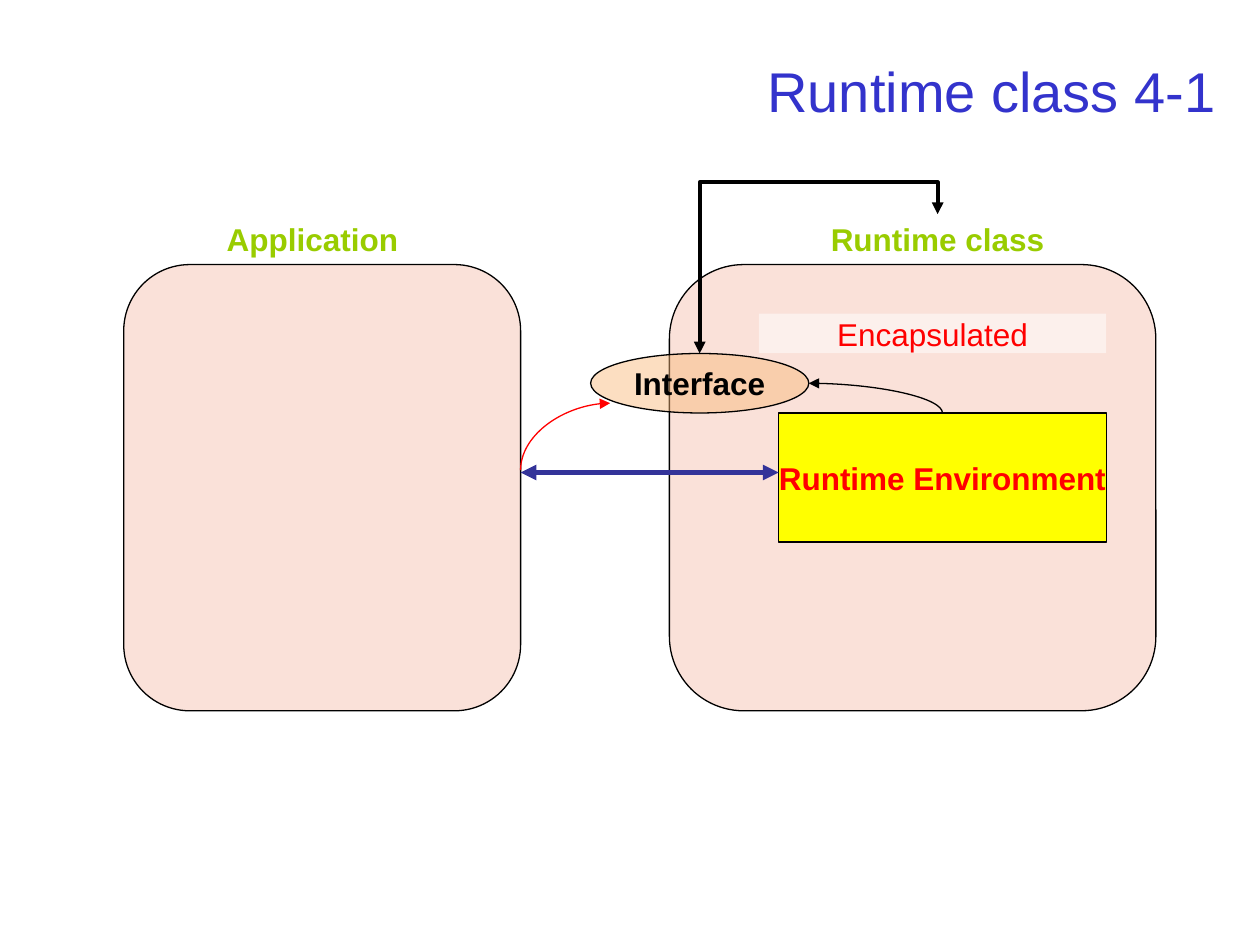
from dataclasses import dataclass

from lxml.etree import SubElement
from pptx import Presentation
from pptx.dml.color import RGBColor
from pptx.enum.shapes import MSO_CONNECTOR as Connector, MSO_SHAPE as Shape
from pptx.enum.text import MSO_ANCHOR as Anchor, MSO_AUTO_SIZE as AutoSize, PP_ALIGN as Align
from pptx.oxml.ns import qn
from pptx.util import Pt


@dataclass(frozen=True)
class Theme:
    font: str = "Arial"
    title_size: float = 32
    text_size: float = 18
    thin: float = 0.75
    medium: float = 2.25
    thick: float = 3
    title: str = "3333CC"
    label: str = "99CC00"
    black: str = "000000"
    white: str = "FFFFFF"
    red: str = "FF0000"
    yellow: str = "FFFF00"
    blue: str = "333399"
    panel: str = "F3B6A1"
    interface: str = "F9B979"


THEME = Theme()


def rgb(value):
    return RGBColor.from_string(value)


def write(frame, text, color, bold=False, size=THEME.text_size, align=Align.CENTER):
    paragraph = frame.paragraphs[0]
    paragraph.alignment = align
    run = paragraph.add_run()
    run.text = text
    run.font.name = THEME.font
    run.font.size = Pt(size)
    run.font.bold = bold
    run.font.color.rgb = rgb(color)


def add_text(slide, box, text, color, **style):
    frame = slide.shapes.add_textbox(*map(Pt, box)).text_frame
    frame.word_wrap = True
    write(frame, text, color, **style)
    return frame


def add_title(slide, text):
    frame = add_text(slide, (54, 20.2, 648, 62.6), text, THEME.title,
                     size=THEME.title_size, align=Align.RIGHT)
    frame.vertical_anchor = Anchor.MIDDLE


def add_label(slide, left, text):
    frame = add_text(slide, (left, 122.4, 204.5, 28.8), text, THEME.label, bold=True)
    frame.auto_size = AutoSize.SHAPE_TO_FIT_TEXT


def add_node(slide, kind, box, fill, opacity=100, outlined=True):
    """Add a filled shape; opacity is in percent."""
    shape = slide.shapes.add_shape(kind, *map(Pt, box))
    shape.shadow.inherit = False
    shape.fill.solid()
    shape.fill.fore_color.rgb = rgb(fill)
    if opacity < 100:
        color = shape._element.spPr.find(qn("a:solidFill")).find(qn("a:srgbClr"))
        SubElement(color, qn("a:alpha")).set("val", str(opacity * 1000))
    if outlined:
        shape.line.color.rgb = rgb(THEME.black)
        shape.line.width = Pt(THEME.thin)
    else:
        shape.line.fill.background()
    return shape


def add_text_node(slide, kind, box, fill, text, color, bold=True, **look):
    frame = add_node(slide, kind, box, fill, **look).text_frame
    frame.word_wrap = False
    frame.vertical_anchor = Anchor.MIDDLE
    write(frame, text, color, bold)


def add_arrow(slide, kind, start, end, color, width, both_ends=False):
    connector = slide.shapes.add_connector(kind, *map(Pt, (*start, *end)))
    connector.line.color.rgb = rgb(color)
    connector.line.width = Pt(width)
    properties = connector._element.spPr
    line = properties.find(qn("a:ln"))
    for tag in ("a:headEnd", "a:tailEnd") if both_ends else ("a:tailEnd",):
        SubElement(line, qn(tag)).set("type", "triangle")
    SubElement(properties, qn("a:effectLst"))
    return connector


def add_vertical_arrow(slide, kind, preset, start, end, color, width,
                       both_ends=False, bend=None):
    """Add a connector that leaves its start vertically: its frame is turned by 90 degrees."""
    middle_x, middle_y = (start[0] + end[0]) / 2, (start[1] + end[1]) / 2
    across, down = start[1] - middle_y, middle_x - start[0]
    connector = add_arrow(slide, kind, (middle_x + across, middle_y + down),
                          (middle_x - across, middle_y - down), color, width, both_ends)
    properties = connector._element.spPr
    properties.find(qn("a:xfrm")).set("rot", str(90 * 60000))
    geometry = properties.find(qn("a:prstGeom"))
    geometry.set("prst", preset)
    if bend is not None:
        guide = SubElement(geometry.find(qn("a:avLst")), qn("a:gd"))
        guide.set("name", "adj1")
        guide.set("fmla", f"val {round(bend * 100000)}")


def main():
    presentation = Presentation()
    presentation.slide_width, presentation.slide_height = Pt(720), Pt(540)
    slide = presentation.slides.add_slide(presentation.slide_layouts[6])
    panel = Shape.FLOWCHART_ALTERNATE_PROCESS

    add_node(slide, panel, (382.5, 151.2, 278, 255), THEME.panel, opacity=40)
    add_title(slide, "Runtime class 4-1")
    add_node(slide, panel, (70.7, 151.2, 226.8, 255), THEME.panel, opacity=40)
    add_text_node(slide, Shape.RECTANGLE, (445, 236, 187.2, 73.7), THEME.yellow,
                  "Runtime Environment", THEME.red)
    add_text_node(slide, Shape.RECTANGLE, (433.7, 179.3, 198.4, 22.5), THEME.white,
                  "Encapsulated", THEME.red, bold=False, opacity=50, outlined=False)
    add_label(slide, 433.5, "Runtime class")
    add_arrow(slide, Connector.STRAIGHT, (297.5, 270), (445, 270),
              THEME.blue, THEME.thick, both_ends=True)
    add_label(slide, 76.3, "Application")
    add_vertical_arrow(slide, Connector.CURVE, "curvedConnector2",
                       (297.5, 268.7), (348.7, 230.4), THEME.red, THEME.thin)
    add_text_node(slide, Shape.OVAL, (337.5, 202, 124.7, 34), THEME.interface,
                  "Interface", THEME.black, opacity=46)
    add_vertical_arrow(slide, Connector.CURVE, "curvedConnector2",
                       (538.6, 236), (462.2, 219), THEME.black, THEME.thin)
    add_vertical_arrow(slide, Connector.ELBOW, "bentConnector3",
                       (535.8, 122.4), (399.8, 202), THEME.black, THEME.medium,
                       both_ends=True, bend=-0.23)
    presentation.save("out.pptx")


if __name__ == "__main__":
    main()
